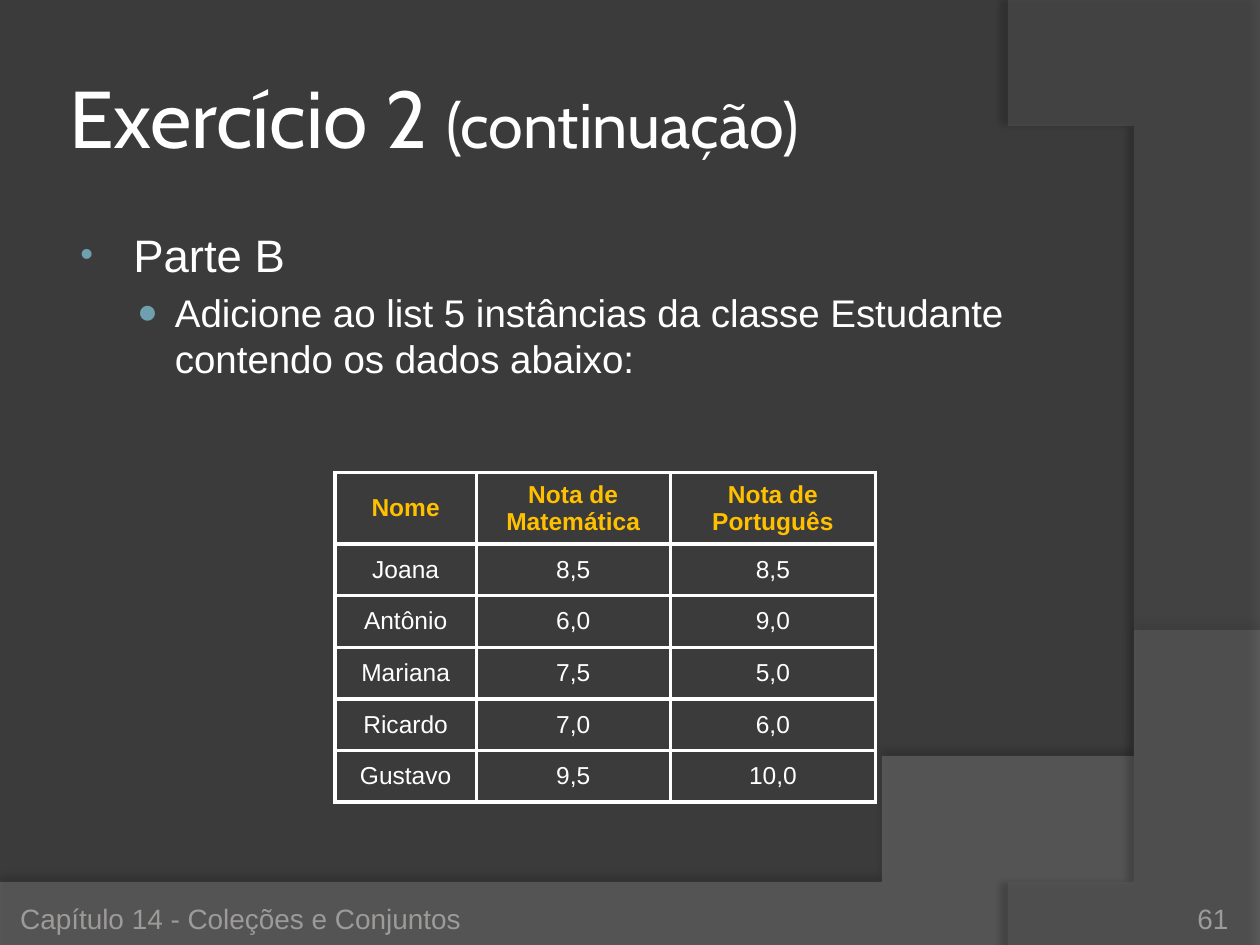
from lxml import etree
from pptx import Presentation
from pptx.dml.color import RGBColor
from pptx.enum.text import MSO_ANCHOR, PP_ALIGN
from pptx.oxml.ns import qn
from pptx.util import Inches, Pt

MIDDLE, BOTTOM = MSO_ANCHOR.MIDDLE, MSO_ANCHOR.BOTTOM
LEFT, CENTER, RIGHT = PP_ALIGN.LEFT, PP_ALIGN.CENTER, PP_ALIGN.RIGHT

BACKGROUND = RGBColor(0x3B, 0x3B, 0x3B)
WAVE = RGBColor(0x7F, 0x7F, 0x7F)
ARC = RGBColor(0x5E, 0x5E, 0x5E)
WHITE = RGBColor(0xFF, 0xFF, 0xFF)
GOLD = RGBColor(0xFF, 0xC0, 0x00)
TEAL = RGBColor(0x6E, 0xA0, 0xB0)
GREY = RGBColor(0x9D, 0x9B, 0x9A)

W, H = 10, 7.5
MARGIN, CONTENT_W = 0.05 * W, 8.17
FOOTER_Y, FOOTER_H = 7.02, 0.4

TITLE = [("Exercício 2 ", 46), ("(continuação)", 36)]
BODY = [
    ("Parte B", 26, 0, 0.46, -0.42, "•", 80),
    ("Adicione ao list 5 instâncias da classe Estudante contendo os dados abaixo:",
     22, 1, 0.79, -0.3, "●", 90),
]
GRADES = [
    ("Nome", "Nota de Matemática", "Nota de Português"),
    ("Joana", "8,5", "8,5"),
    ("Antônio", "6,0", "9,0"),
    ("Mariana", "7,5", "5,0"),
    ("Ricardo", "7,0", "6,0"),
    ("Gustavo", "9,5", "10,0"),
]
COL_WIDTHS = [1.12, 1.54, 1.63]
HEADER_H, ROW_H = 0.54, 0.41
FOOTER = [
    ("Capítulo 14 - Coleções e Conjuntos", 0.16, 6.25, LEFT, 0.05),
    ("61", 8.92, 0.83, RIGHT, 0),
]


def sub(parent, tag, **attrs):
    return etree.SubElement(parent, qn(tag), {k: str(v) for k, v in attrs.items()})


def bezier(p0, p1, p2, p3, steps=60):
    for i in range(steps + 1):
        t = i / steps
        u = 1 - t
        yield tuple(u**3 * a + 3 * u * u * t * b + 3 * u * t * t * c + t**3 * d
                    for a, b, c, d in zip(p0, p1, p2, p3))


def add_band(s, points, color, opacity, shadow_opacity, dist, angle):
    start, *rest = points
    fb = s.shapes.build_freeform(*start, scale=Inches(1))
    fb.add_line_segments(rest, close=True)
    sp = fb.convert_to_shape()
    sp.fill.solid()
    sp.fill.fore_color.rgb = color
    sp.line.fill.background()
    clr = sp.fill._xPr.find(qn("a:solidFill"))[0]
    sub(clr, "a:alpha", val=opacity * 1000)
    effects = sub(sp._element.spPr, "a:effectLst")
    shadow = sub(effects, "a:outerShdw", blurRad=Pt(4), dist=Pt(dist),
                 dir=angle * 60000, algn="ctr", rotWithShape=0)
    sub(sub(shadow, "a:srgbClr", val="000000"), "a:alpha", val=shadow_opacity * 1000)


def add_text_frame(s, x, y, w, h, anchor, insets):
    tf = s.shapes.add_textbox(*map(Inches, (x, y, w, h))).text_frame
    tf.word_wrap = True
    tf.vertical_anchor = anchor
    tf.margin_left, tf.margin_top, tf.margin_right, tf.margin_bottom = map(Inches, insets)
    return tf


def style(p, size, color, name="Arial", bold=False):
    p.font.size, p.font.name, p.font.bold = Pt(size), name, bold
    p.font.color.rgb = color


def add_bullet(p, level, left, indent, char, percent):
    p.level = level
    pPr = p._p.get_or_add_pPr()
    pPr.set("marL", str(Inches(left)))
    pPr.set("indent", str(Inches(indent)))
    sub(sub(pPr, "a:spcBef"), "a:spcPct", val=20000)
    sub(sub(pPr, "a:buClr"), "a:srgbClr", val=TEAL)
    sub(pPr, "a:buSzPct", val=percent * 1000)
    sub(pPr, "a:buFont", typeface="Arial")
    sub(pPr, "a:buChar", char=char)


def add_grades(s, x, y):
    rows, cols = len(GRADES), len(COL_WIDTHS)
    heights = [HEADER_H] + [ROW_H] * (rows - 1)
    table = s.shapes.add_table(rows, cols, Inches(x), Inches(y),
                               Inches(sum(COL_WIDTHS)), Inches(sum(heights))).table
    table.first_row = table.horz_banding = False
    for col, width in zip(table.columns, COL_WIDTHS):
        col.width = Inches(width)
    for i, (row, height, values) in enumerate(zip(table.rows, heights, GRADES)):
        row.height = Inches(height)
        for cell, value in zip(row.cells, values):
            cell.text = value
            cell.vertical_anchor = MIDDLE
            p = cell.text_frame.paragraphs[0]
            p.alignment = CENTER
            style(p, 14, WHITE if i else GOLD, bold=i == 0)
            tcPr = cell._tc.get_or_add_tcPr()
            for side in ("L", "R", "T", "B"):
                ln = sub(tcPr, f"a:ln{side}", w=Pt(2.25))
                sub(sub(ln, "a:solidFill"), "a:srgbClr", val=WHITE)
            cell.fill.background()


def main():
    prs = Presentation()
    prs.slide_width, prs.slide_height = Inches(W), Inches(H)
    s = prs.slides.add_slide(prs.slide_layouts[6])
    s.background.fill.solid()
    s.background.fill.fore_color.rgb = BACKGROUND

    wave = [(0, H), (W, H), *bezier((W, 5.2), (5.59, 7.29), (3.91, 7.19), (0, 7.05))]
    arc = [(W, 0.02), (W, H), *bezier((8.21, H), (9.35, 6.19), (10.18, 3), (8, 0))]
    add_band(s, wave, WAVE, 45, 35, 3.5, 270)
    add_band(s, arc, ARC, 40, 45, 4, 180)

    tf = add_text_frame(s, MARGIN, 0.3, CONTENT_W, 1.25, MIDDLE, [0.05] * 4)
    p = tf.paragraphs[0]
    for text, size in TITLE:
        r = p.add_run()
        r.text = text
        r.font.size, r.font.name = Pt(size), "Cabin"
        r.font.color.rgb = WHITE

    tf = add_text_frame(s, MARGIN, 1.75, CONTENT_W, 1.45, MSO_ANCHOR.TOP,
                        [0.1, 0.05, 0.1, 0.05])
    for i, (text, size, *bullet) in enumerate(BODY):
        p = tf.add_paragraph() if i else tf.paragraphs[0]
        p.text = text
        add_bullet(p, *bullet)
        style(p, size, WHITE)

    add_grades(s, 2.66, 3.75)

    for text, x, width, align, top in FOOTER:
        tf = add_text_frame(s, x, FOOTER_Y, width, FOOTER_H, BOTTOM, [0, top, 0, 0])
        p = tf.paragraphs[0]
        p.text, p.alignment = text, align
        style(p, 16, GREY)

    prs.save("out.pptx")


if __name__ == "__main__":
    main()
